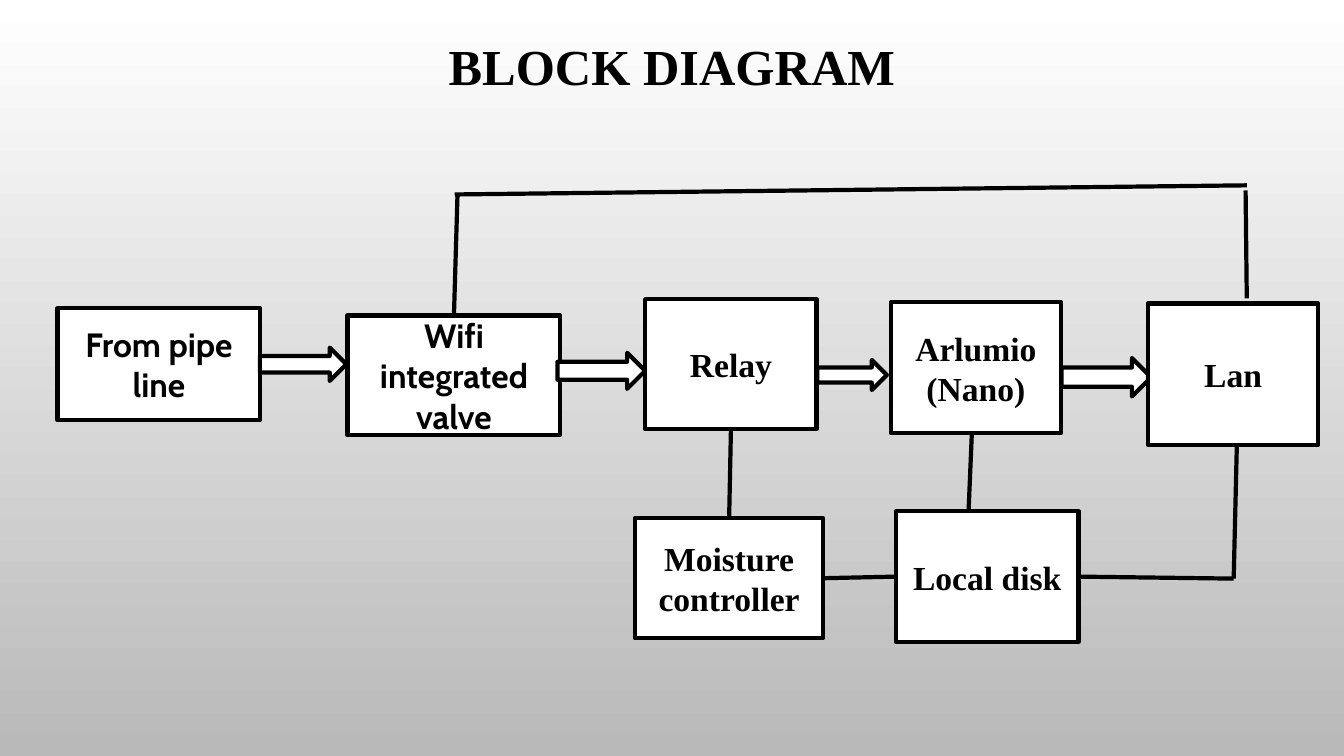
from lxml import etree
from pptx import Presentation
from pptx.dml.color import RGBColor
from pptx.enum.shapes import MSO_CONNECTOR, MSO_SHAPE
from pptx.enum.text import MSO_ANCHOR, PP_ALIGN
from pptx.oxml.ns import qn
from pptx.util import Cm, Pt

RECTANGLE = MSO_SHAPE.RECTANGLE
RIGHT_ARROW = MSO_SHAPE.RIGHT_ARROW
STRAIGHT = MSO_CONNECTOR.STRAIGHT
CENTER = PP_ALIGN.CENTER
MIDDLE = MSO_ANCHOR.MIDDLE
TOP, LEFT, BOTTOM, RIGHT = range(4)

COLOURS = {"ink": "000000", "paper": "FFFFFF", "shade": "B9B9B9"}
SERIF, SANS = "Times New Roman", "Cabin"
LINE_WIDTH = Pt(3)

# Each box: name, text, font, (left, top, width, height) in cm
FLOW = [
    ("pipe", "From pipe line", SANS, (1.45, 7.77, 5.11, 2.82)),
    ("valve", "Wifi integrated valve", SANS, (8.76, 7.95, 5.36, 3.02)),
    ("relay", "Relay", SERIF, (16.26, 7.54, 4.32, 3.28)),
    ("board", "Arlumio\n(Nano)", SERIF, (22.45, 7.62, 4.29, 3.3)),
    ("lan", "Lan", SERIF, (28.93, 7.65, 4.29, 3.56)),
]
FLOW_ARROWS = [
    (6.55, 8.76, 2.18, 0.84),
    (14.05, 8.89, 2.21, 0.91),
    (20.6, 9.07, 1.75, 0.76),
    (26.75, 9.02, 2.26, 0.97),
]
LOWER_BOXES = [
    ("moisture", "Moisture controller", SERIF, (16, 13.06, 4.75, 3.02)),
    ("disk", "Local disk", SERIF, (22.58, 12.88, 4.6, 3.3)),
]
# Each end is a point in cm or a box name with a connection site
LINKS = [
    (("valve", TOP), (11.53, 4.88)),
    ((31.42, 7.52), (31.39, 4.8)),
    ((11.46, 4.9), (31.42, 4.67)),
    (("relay", BOTTOM), ("moisture", TOP)),
    ((24.41, 12.85), (24.49, 10.95)),
    (("disk", RIGHT), (31.09, 14.58)),
    ((31.17, 11.2), (31.09, 14.58)),
    (("moisture", RIGHT), ("disk", LEFT)),
]


def colour(name):
    return RGBColor.from_string(COLOURS[name])


def paint_background(page):
    fill = page.background.fill
    fill.gradient()
    fill.gradient_angle = 270
    for stop, name in zip(fill.gradient_stops, ("paper", "shade")):
        stop.color.rgb = colour(name)


def write(shape, text, font, size, spacing=1.0):
    """Fill the shape with bold centred text, one paragraph a line."""
    frame = shape.text_frame
    frame.word_wrap = True
    frame.vertical_anchor = MIDDLE
    frame.text = text
    text_format = {"name": font, "size": Pt(size), "bold": True}
    for para in frame.paragraphs:
        para.alignment = CENTER
        para.line_spacing = spacing
        for span in para.runs:
            for key, value in text_format.items():
                setattr(span.font, key, value)
            span.font.color.rgb = colour("ink")


def draw_line(line):
    line.color.rgb = colour("ink")
    line.width = LINE_WIDTH


def add_outlined(page, kind, place):
    """Add a white preset shape with a black, round-cornered outline."""
    shape = page.shapes.add_shape(kind, *map(Cm, place))
    shape.shadow.inherit = False
    shape.fill.solid()
    shape.fill.fore_color.rgb = colour("paper")
    draw_line(shape.line)
    etree.SubElement(shape.line._get_or_add_ln(), qn("a:round"))
    return shape


def add_box(page, text, font, place):
    box = add_outlined(page, RECTANGLE, place)
    write(box, text, font, 24)
    return box


def add_link(page, boxes, ends):
    points = [(0, 0) if isinstance(end[0], str) else end for end in ends]
    link = page.shapes.add_connector(STRAIGHT, *map(Cm, points[0] + points[1]))
    for end, join in zip(ends, (link.begin_connect, link.end_connect)):
        if isinstance(end[0], str):
            join(boxes[end[0]], end[1])
    draw_line(link.line)
    etree.SubElement(link._element.spPr, qn("a:effectLst"))


def add_title(page, text):
    box = page.shapes.add_textbox(Cm(0), Cm(0.36), Cm(33.87), Cm(2.79))
    write(box, text, SERIF, 36, spacing=0.9)


def main():
    deck = Presentation()
    deck.slide_width, deck.slide_height = Cm(33.87), Cm(19.05)
    page = deck.slides.add_slide(deck.slide_layouts[6])
    paint_background(page)
    add_title(page, "BLOCK DIAGRAM")

    boxes = {}
    for index, (name, text, font, place) in enumerate(FLOW):
        if index:
            add_outlined(page, RIGHT_ARROW, FLOW_ARROWS[index - 1])
        boxes[name] = add_box(page, text, font, place)
    for name, text, font, place in LOWER_BOXES:
        boxes[name] = add_box(page, text, font, place)
    for ends in LINKS:
        add_link(page, boxes, ends)

    deck.save("out.pptx")


if __name__ == "__main__":
    main()
